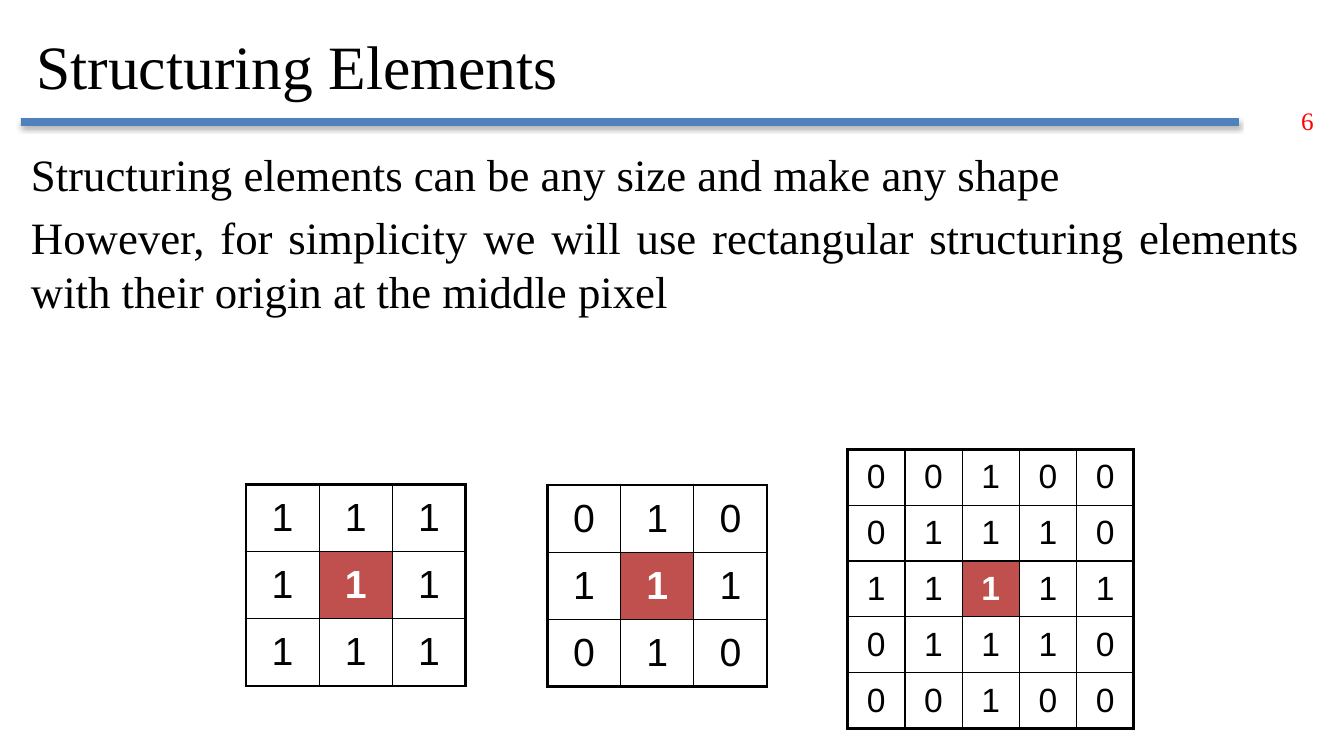
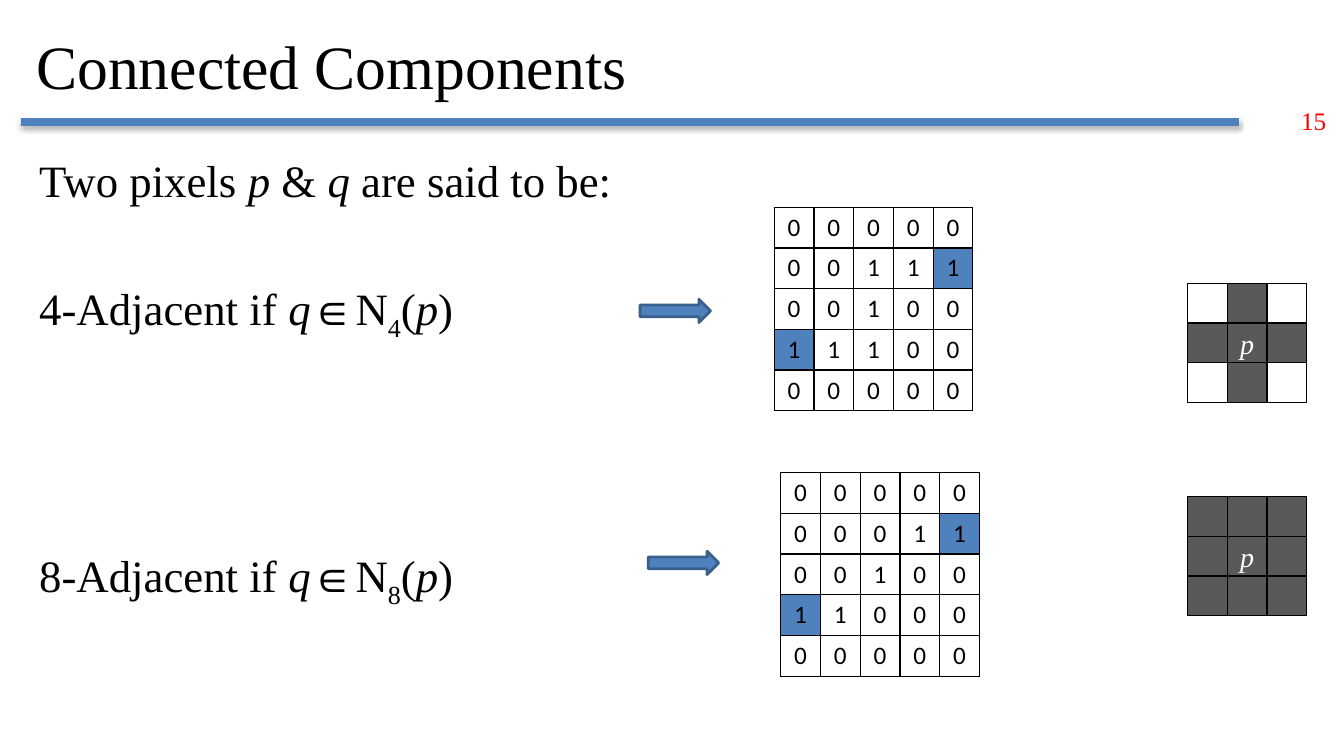
from lxml import etree
from pptx import Presentation
from pptx.dml.color import RGBColor
from pptx.enum.shapes import MSO_SHAPE
from pptx.enum.text import MSO_ANCHOR, MSO_AUTO_SIZE, PP_ALIGN
from pptx.oxml.ns import qn
from pptx.util import Pt

BLACK = RGBColor(0x00, 0x00, 0x00)
WHITE = RGBColor(0xFF, 0xFF, 0xFF)
RED = RGBColor(0xFF, 0x00, 0x00)
BLUE = RGBColor(0x4F, 0x81, 0xBD)
DARK_BLUE = RGBColor(0x3A, 0x5F, 0x8C)
BRICK = RGBColor(0xC0, 0x50, 0x4D)
GREY = RGBColor(0x59, 0x59, 0x59)

RECTANGLE = MSO_SHAPE.RECTANGLE
RIGHT_ARROW = MSO_SHAPE.RIGHT_ARROW
LEFT = PP_ALIGN.LEFT
CENTER = PP_ALIGN.CENTER
JUSTIFY = PP_ALIGN.JUSTIFY
TOP = MSO_ANCHOR.TOP
MIDDLE = MSO_ANCHOR.MIDDLE
NO_FIT = MSO_AUTO_SIZE.NONE

SERIF = "Times New Roman"
TITLE_ONLY = 5


def write_text(frame, paragraphs, size=32, font=SERIF, color=BLACK, bold=False,
               italic=False, align=LEFT, gaps=()):
    """Fill a frame with paragraphs of (text, style) runs, style being "", "i" or "sub"."""
    for index, runs in enumerate(paragraphs):
        paragraph = frame.paragraphs[0] if index == 0 else frame.add_paragraph()
        paragraph.alignment = align
        if index:
            paragraph.space_before = Pt(gaps[index - 1])
        for words, style in runs:
            run = paragraph.add_run()
            run.text = words
            run.font.size = Pt(size)
            run.font.name = font
            run.font.color.rgb = color
            run.font.bold = bold
            run.font.italic = italic or style == "i"
            if style == "sub":
                run.font._element.set("baseline", "-25000")


def set_borders(cell, widths):
    """Draw black cell borders of the given widths: left, right, top, bottom."""
    properties = cell._tc.get_or_add_tcPr()
    for side, width in zip("LRTB", widths):
        line = etree.SubElement(properties, qn(f"a:ln{side}"), w=str(Pt(width)))
        fill = etree.SubElement(line, qn("a:solidFill"))
        etree.SubElement(fill, qn("a:srgbClr"), val=str(BLACK))


class Deck:
    """Lecture style together with the slide being built."""

    def __init__(self):
        self.presentation = Presentation()
        self.presentation.slide_width = Pt(960)
        self.presentation.slide_height = Pt(540)
        self.slide = None

    def new_slide(self, title, number):
        """Start a slide with its title, rule and page number."""
        layout = self.presentation.slide_layouts[TITLE_ONLY]
        self.slide = self.presentation.slides.add_slide(layout)
        self.rule()
        self.text_box(922.3, 72, 36, 28.8, [[(number, "")]], wrap=False,
                      size=18, color=RED)
        heading = self.slide.shapes.title
        heading.left, heading.top = Pt(18.7), Pt(10)
        heading.width, heading.height = Pt(830), Pt(73)
        heading.text_frame.auto_size = NO_FIT
        heading.text_frame.vertical_anchor = MIDDLE
        write_text(heading.text_frame, [[(title, "")]], size=44)

    def shape(self, kind, left, top, width, height, fill, line=None,
              line_width=1, parent=None):
        """Add a flat preset shape to the slide or to a group."""
        shapes = (parent or self.slide).shapes
        item = shapes.add_shape(kind, Pt(left), Pt(top), Pt(width), Pt(height))
        item.shadow.inherit = False
        item.fill.solid()
        item.fill.fore_color.rgb = fill
        if line is None:
            item.line.fill.background()
        else:
            item.line.color.rgb = line
            item.line.width = Pt(line_width)
        return item

    def rule(self):
        """Add the shadowed rule under the title."""
        bar = self.shape(RECTANGLE, 15, 84.4, 870, 5.6, BLUE)
        effects = bar._element.spPr.find(qn("a:effectLst"))
        shadow = etree.SubElement(effects, qn("a:outerShdw"), blurRad=str(Pt(3.5)),
                                  dist=str(Pt(2.2)), dir="5400000", rotWithShape="0")
        tint = etree.SubElement(shadow, qn("a:srgbClr"), val=str(BLACK))
        etree.SubElement(tint, qn("a:alpha"), val="32000")

    def text_box(self, left, top, width, height, paragraphs, wrap=True, **style):
        """Add a text box."""
        box = self.slide.shapes.add_textbox(Pt(left), Pt(top), Pt(width), Pt(height))
        box.text_frame.word_wrap = wrap
        write_text(box.text_frame, paragraphs, **style)

    def pixel_table(self, left, top, column, row, pixels, marked, mark_fill,
                    mark_color=BLACK, mark_bold=False, outer=1, anchor=TOP, **style):
        """Add a grid of pixel values, one string per row, with marked cells."""
        rows, columns = len(pixels), len(pixels[0])
        table = self.slide.shapes.add_table(
            rows, columns, Pt(left), Pt(top),
            Pt(column * columns), Pt(row * rows)).table
        table.first_row = table.horz_banding = False
        for line in table.rows:
            line.height = Pt(row)
        for y, values in enumerate(pixels):
            for x, value in enumerate(values):
                cell = table.cell(y, x)
                at_edge = (x == 0, x == columns - 1, y == 0, y == rows - 1)
                set_borders(cell, [outer if edge else 1 for edge in at_edge])
                cell.vertical_anchor = anchor
                is_marked = (y, x) in marked
                if is_marked:
                    cell.fill.solid()
                    cell.fill.fore_color.rgb = mark_fill
                else:
                    cell.fill.background()
                write_text(cell.text_frame, [[(value, "")]], align=CENTER,
                           color=mark_color if is_marked else BLACK,
                           bold=is_marked and mark_bold, **style)

    def structuring_element(self, left, top, column, row, pixels, size):
        """Add a structuring element with its origin in the middle."""
        middle = len(pixels) // 2
        self.pixel_table(left, top, column, row, pixels, {(middle, middle)}, BRICK,
                         WHITE, True, outer=2.25, anchor=MIDDLE, size=size, font="Arial")

    def neighbourhood(self, left, top, pattern, side=28.3):
        """Add a grouped 3 by 3 neighbourhood of p, with "#" for a neighbour."""
        group = self.slide.shapes.add_group_shape()
        for y, cells in enumerate(pattern):
            for x, mark in enumerate(cells):
                pixel = self.shape(RECTANGLE, left + x * side, top + y * side, side, side,
                                   WHITE if mark == "." else GREY, BLACK, parent=group)
                if mark == "p":
                    pixel.text_frame.word_wrap = False
                    pixel.text_frame.vertical_anchor = MIDDLE
                    write_text(pixel.text_frame, [[("p", "")]], size=20, color=WHITE,
                               italic=True, align=CENTER)


def adjacency(count):
    """Return the runs that define one kind of adjacency."""
    return [(f"{count}-Adjacent if ", ""), ("q", "i"), ("∈N", ""), (count, "sub"),
            ("(", ""), ("p", "i"), (")", "")]


def main():
    """Build both slides and save them."""
    deck = Deck()

    deck.new_slide("Structuring Elements", "6")
    deck.text_box(15, 101.5, 921, 140, [
        [("Structuring elements can be any size and make any shape", "")],
        [("However, for simplicity we will use rectangular structuring elements "
          "with their origin at the middle pixel", "")],
    ], align=JUSTIFY, gaps=[6.4])
    deck.structuring_element(175.7, 346, 52.3, 48, ["111", "111", "111"], 28)
    deck.structuring_element(391, 346.5, 52.3, 48, ["010", "111", "010"], 28)
    deck.structuring_element(605.5, 321, 40.9, 39.9,
                             ["00100", "01110", "11111", "01110", "00100"], 24)

    deck.new_slide("Connected Components", "15")
    deck.text_box(20.9, 105.8, 430, 340, [
        [("Two pixels ", ""), ("p", "i"), (" & ", ""), ("q", "i"),
         (" are said to be:", "")],
        adjacency("4"),
        adjacency("8"),
    ], gaps=[53, 147])
    ends = {(1, 4), (3, 0)}
    examples = [
        (553, 148, 457.2, 213.8, 202.5,
         ["00000", "00111", "00100", "11100", "00000"], [".#.", "#p#", ".#."]),
        (557.7, 337.6, 463, 393.8, 354.8,
         ["00000", "00011", "00100", "11000", "00000"], ["###", "#p#", "###"]),
    ]
    for left, top, arrow_left, arrow_top, grid_top, pixels, pattern in examples:
        deck.pixel_table(left, top, 28.4, 29.1, pixels, ends, BLUE,
                         size=18, font="Calibri")
        deck.shape(RIGHT_ARROW, arrow_left, arrow_top, 50.4, 16.6, BLUE, DARK_BLUE, 2)
        deck.neighbourhood(848.4, grid_top, pattern)

    deck.presentation.save("out.pptx")


if __name__ == "__main__":
    main()
